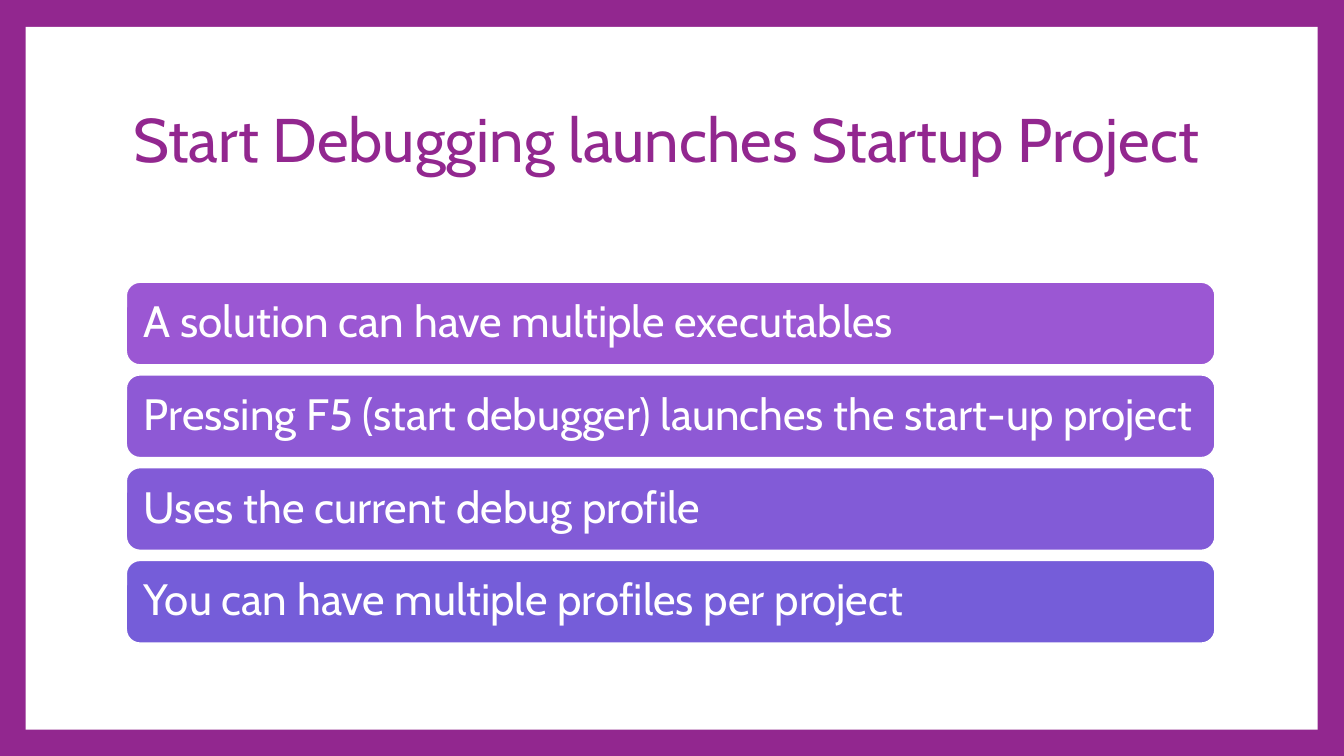
from pptx import Presentation
from pptx.dml.color import RGBColor
from pptx.enum import shapes, text
from pptx.util import Pt

TITLE = "Start Debugging launches Startup Project"
POINTS = [
    ("A solution can have multiple executables", "9B57D3"),
    ("Pressing F5 (start debugger) launches the start-up project", "8E59D5"),
    ("Uses the current debug profile", "825BD7"),
    ("You can have multiple profiles per project", "755DD9"),
]

THEME = {
    "font": "Cabin",
    "frame": "92278F",
    "paper": "FFFFFF",
    "title": 66,
    "point": 47,
}

# Lengths in points
WIDTH, HEIGHT = 1440, 810
PANEL = (27.36, 28.8, 1384.56, 753.12)
LEFT, SPAN = 135.36, 1166.4
HEAD_TOP, HEAD_TALL = 72, 160.56
BAR_TOP, BAR_TALL, PITCH = 302.4, 88.56, 99.36
INSET = 14.4


def paint(fill, color):
    fill.solid()
    fill.fore_color.rgb = RGBColor.from_string(color)


def write(shape, words, size, color):
    """Put one left-aligned, vertically centred paragraph in the shape."""
    frame = shape.text_frame
    frame.text = words
    frame.word_wrap = True
    frame.auto_size = text.MSO_AUTO_SIZE.NONE
    frame.vertical_anchor = text.MSO_ANCHOR.MIDDLE
    para = frame.paragraphs[0]
    para.alignment = text.PP_ALIGN.LEFT
    para.line_spacing = 0.9
    font = para.runs[0].font
    font.name = THEME["font"]
    font.size = Pt(size)
    font.color.rgb = RGBColor.from_string(color)
    return frame


def block(slide, kind, box, color):
    shape = slide.shapes.add_shape(kind, *map(Pt, box))
    shape.shadow.inherit = False
    paint(shape.fill, color)
    shape.line.fill.background()
    return shape


def main():
    deck = Presentation()
    deck.slide_width, deck.slide_height = Pt(WIDTH), Pt(HEIGHT)
    slide = deck.slides.add_slide(deck.slide_layouts[5])
    paint(slide.background.fill, THEME["frame"])

    panel = block(slide, shapes.MSO_SHAPE.RECTANGLE, PANEL, THEME["paper"])
    head = slide.shapes.title
    head._element.addprevious(panel._element)
    head.left, head.top = Pt(LEFT), Pt(HEAD_TOP)
    head.width, head.height = Pt(SPAN), Pt(HEAD_TALL)
    write(head, TITLE, THEME["title"], THEME["frame"])

    for row, (words, color) in enumerate(POINTS):
        box = (LEFT, BAR_TOP + row * PITCH, SPAN, BAR_TALL)
        bar = block(slide, shapes.MSO_SHAPE.ROUNDED_RECTANGLE, box, color)
        paint(bar.line.fill, THEME["paper"])
        bar.line.width = Pt(1.5)
        frame = write(bar, words, THEME["point"], THEME["paper"])
        frame.margin_left = frame.margin_right = Pt(INSET)
        frame.margin_top = frame.margin_bottom = Pt(INSET)

    deck.save("out.pptx")


if __name__ == "__main__":
    main()
